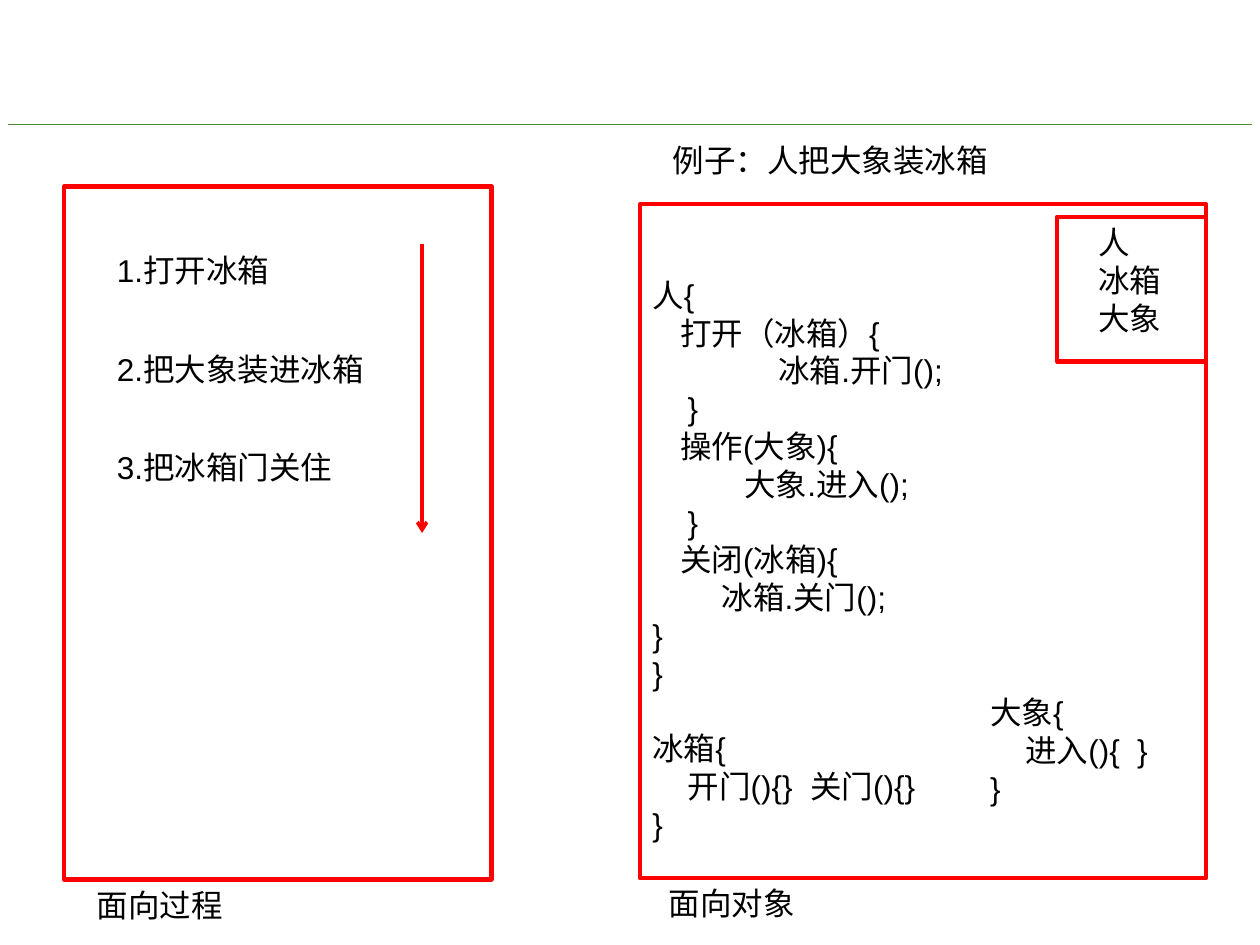
from dataclasses import dataclass
from lxml.etree import SubElement
from pptx import Presentation
from pptx.dml.color import RGBColor as Color
from pptx.enum.shapes import MSO_CONNECTOR as Connector, MSO_SHAPE as Shape
from pptx.enum.text import MSO_AUTO_SIZE as AutoSize
from pptx.oxml.ns import qn
from pptx.util import Inches, Pt


@dataclass(frozen=True)
class Theme:
    font: str = "Arial"
    size: float = 18
    ink: str = "000000"
    frame: str = "FF0000"
    rule: str = "538C2E"
    frame_width: float = 2.5
    arrow_width: float = 2
    rule_width: float = 0.5


@dataclass(frozen=True)
class Box:
    left: float
    top: float
    width: float
    height: float

    def inner(self, column, row, width, height):
        return Box(self.left + column, self.top + row, width, height)

    def lengths(self):
        return [grid(n) for n in (self.left, self.top, self.width, self.height)]


THEME = Theme()
COLUMNS, ROWS = 100, 75
WIDTH, HEIGHT = Inches(10), Inches(7.5)
LINE_ROWS = 4
STEPS = ["1.打开冰箱", "2.把大象装进冰箱", "3.把冰箱门关住"]
OBJECTS = [("人", 0), ("冰箱", 0), ("大象", 0)]
PERSON_CLASS = [
    ("人{", 0),
    ("打开（冰箱）{", 2.2),
    ("冰箱.开门();", 10),
    ("}", 2.8),
    ("操作(大象){", 2.2),
    ("大象.进入();", 7.3),
    ("}", 2.8),
    ("关闭(冰箱){", 2.2),
    ("冰箱.关门();", 5.5),
    ("}", 0),
    ("}", 0),
]
FRIDGE_CLASS = [("冰箱{", 0), ("开门(){}  关门(){}", 2.8), ("}", 0)]
ELEPHANT_CLASS = [("大象{", 0), ("进入(){  }", 2.8), ("}", 0)]


def grid(units):
    return round(units * WIDTH / COLUMNS)


def add_text(page, box, text, size=THEME.size, color=THEME.ink, indent=0, gaps=None):
    lines = [(text, indent)] if isinstance(text, str) else text
    frame = page.shapes.add_textbox(*box.lengths()).text_frame
    frame.word_wrap = True
    frame.auto_size = AutoSize.SHAPE_TO_FIT_TEXT
    for index, (words, columns) in enumerate(lines):
        para = frame.add_paragraph() if index else frame.paragraphs[0]
        if columns:
            para._p.get_or_add_pPr().set("marL", str(grid(columns)))
        if gaps and index in gaps:
            para.space_before = Pt(gaps[index])
        span = para.add_run()
        span.text = words
        span.font.name = THEME.font
        span.font.size = Pt(size)
        span.font.color.rgb = Color.from_string(color)
        SubElement(span._r.get_or_add_rPr(), qn("a:ea"), typeface=THEME.font)


def add_frame(page, box):
    shape = page.shapes.add_shape(Shape.RECTANGLE, *box.lengths())
    shape.shadow.inherit = False
    shape.fill.background()
    shape.line.color.rgb = Color.from_string(THEME.frame)
    shape.line.width = Pt(THEME.frame_width)


def add_line(page, box, color, width, arrow=False):
    left, top, across, down = box.lengths()
    line = page.shapes.add_connector(
        Connector.STRAIGHT, left, top, left + across, top + down
    )
    line.line.color.rgb = Color.from_string(color)
    line.line.width = Pt(width)
    if arrow:
        SubElement(line.line._get_or_add_ln(), qn("a:tailEnd"), type="arrow")
    SubElement(line._element.spPr, qn("a:effectLst"))


def add_header(page, box):
    add_line(page, box.inner(0.6, 9.9, box.width - 1.2, 0), THEME.rule, THEME.rule_width)
    add_text(page, box.inner(52.4, 10.7, 40.9, LINE_ROWS), "例子：人把大象装冰箱")


def add_procedure(page, box):
    add_frame(page, box)
    add_text(page, box.inner(1.6, box.height, 32.3, LINE_ROWS), "面向过程")
    for index, step in enumerate(STEPS):
        add_text(page, box.inner(3.2, 4.6 + index * 7.85, 26, LINE_ROWS), step)
    add_line(
        page, box.inner(28.4, 4.6, 0, 22.9), THEME.frame, THEME.arrow_width, arrow=True
    )


def add_object_list(page, box):
    add_frame(page, box)
    add_text(page, box.inner(2.3, 0, 9.4, 10.1), OBJECTS)


def add_object_design(page, box):
    add_frame(page, box)
    add_text(page, box.inner(1.3, box.height, 30.7, LINE_ROWS), "面向对象")
    add_object_list(page, box.inner(33.1, 1, 11.8, 11.5))
    add_text(
        page,
        box.inner(0, 5.2, 41, 46.4),
        PERSON_CLASS + FRIDGE_CLASS,
        gaps={len(PERSON_CLASS): THEME.size * 1.2},
    )
    add_text(page, box.inner(26.8, 38.3, 22.4, 10.1), ELEPHANT_CLASS)


def main():
    deck = Presentation()
    deck.slide_width, deck.slide_height = WIDTH, HEIGHT
    page = deck.slides.add_slide(deck.slide_layouts[6])
    add_header(page, Box(0, 0, COLUMNS, ROWS))
    add_procedure(page, Box(5.1, 14.8, 33.9, 55))
    add_object_design(page, Box(50.8, 16.2, 44.9, 53.5))
    deck.save("out.pptx")


if __name__ == "__main__":
    main()
